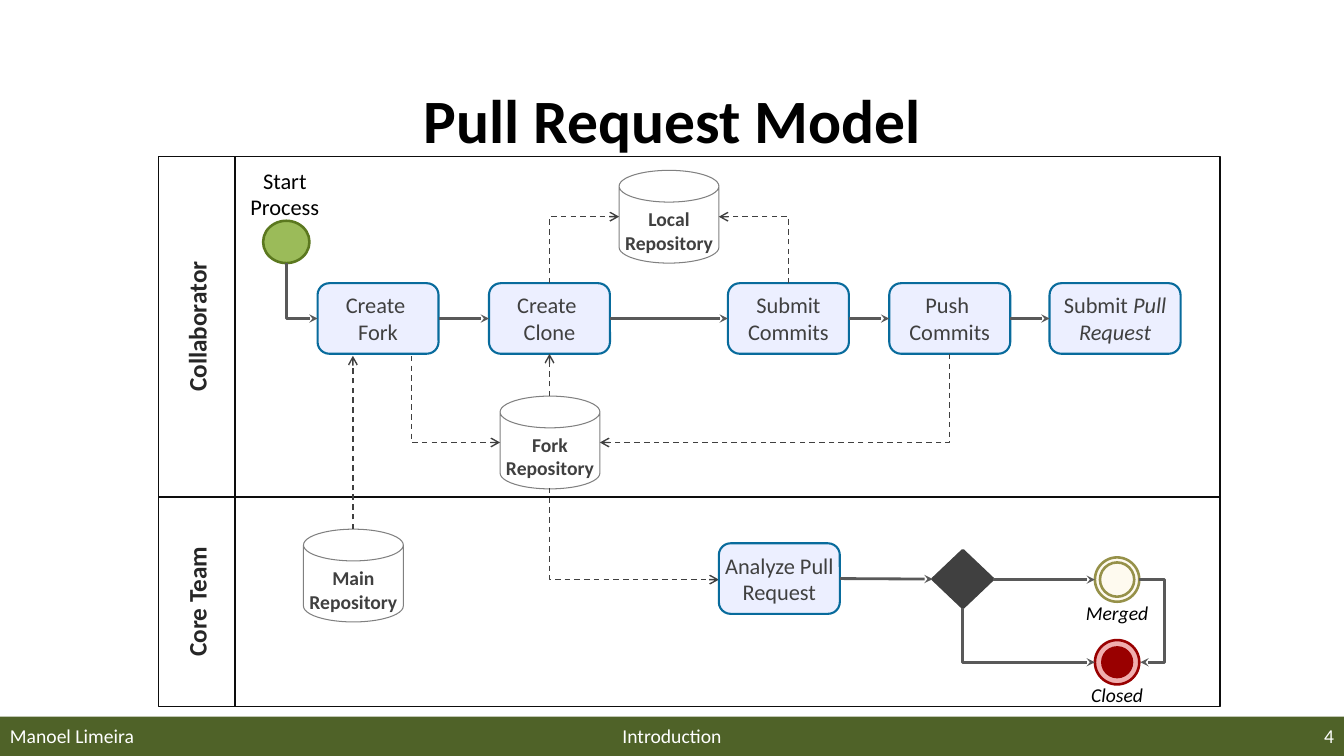
from itertools import pairwise

from lxml.etree import SubElement
from pptx import Presentation
from pptx.dml.color import RGBColor
from pptx.enum.dml import MSO_LINE
from pptx.enum.shapes import MSO_CONNECTOR as Link, MSO_SHAPE as Preset
from pptx.enum.text import MSO_ANCHOR as Anchor, PP_ALIGN as Align
from pptx.oxml.ns import qn
from pptx.util import Inches, Pt

FONT = "Calibri"
BLACK = RGBColor(0x00, 0x00, 0x00)
WHITE = RGBColor(0xFF, 0xFF, 0xFF)
FRAME = RGBColor(0x0D, 0x0D, 0x0D)
LANE_TEXT = RGBColor(0x26, 0x26, 0x26)
DARK = RGBColor(0x40, 0x40, 0x40)
FLOW = RGBColor(0x59, 0x59, 0x59)
GRAY = RGBColor(0x80, 0x80, 0x80)
FOOTER = RGBColor(0x4F, 0x62, 0x28)
STEP_FILL = RGBColor(0xEC, 0xEF, 0xFF)
STEP_LINE = RGBColor(0x08, 0x6B, 0x9C)
START_FILL = RGBColor(0x9B, 0xBB, 0x59)
START_LINE = RGBColor(0x5B, 0x78, 0x1F)
MERGED_FILL = RGBColor(0xFE, 0xFA, 0xEF)
MERGED_LINE = RGBColor(0x96, 0x91, 0x49)
CLOSED_FILL = RGBColor(0xF0, 0xAE, 0xAE)
CLOSED_LINE = RGBColor(0x99, 0x00, 0x00)

LANE_LEFT, LANE_WIDTH, NAME_WIDTH = 1.57, 10.53, 0.76
STEP_WIDTH, STEP_HEIGHT = 1.2, 0.7


def write(shape, text, size, color, bold=False, italic=False, align=Align.CENTER,
          anchor=Anchor.MIDDLE, inset=0.1, wrap=True):
    """Fill a shape with uniformly formatted text."""
    frame = shape.text_frame
    frame.text = text
    frame.word_wrap = wrap
    frame.vertical_anchor = anchor
    frame.margin_left = frame.margin_right = Inches(inset)
    frame.margin_top = frame.margin_bottom = Inches(0.05)
    for paragraph in frame.paragraphs:
        paragraph.alignment = align
        for run in paragraph.runs:
            style_run(run, size, color, bold, italic)


def style_run(run, size, color, bold=False, italic=False):
    """Set the font of one run."""
    run.font.name, run.font.size = FONT, Pt(size)
    run.font.bold, run.font.italic = bold, italic
    run.font.color.rgb = color


class Region:
    """Draws parts in inches relative to its own left top corner."""

    def __init__(self, slide, left, top):
        self.shapes, self.left, self.top = slide.shapes, left, top

    def place(self, left, top):
        """Turn a relative point into slide lengths."""
        return Inches(self.left + left), Inches(self.top + top)

    def shape(self, preset, left, top, width, height, fill=None, line=None, weight=1):
        """Add a preset shape."""
        shape = self.shapes.add_shape(preset, *self.place(left, top), Inches(width), Inches(height))
        shape.shadow.inherit = False
        if fill is None:
            shape.fill.background()
        else:
            shape.fill.solid()
            shape.fill.fore_color.rgb = fill
        if line is None:
            shape.line.fill.background()
        else:
            shape.line.color.rgb = line
            shape.line.width = Pt(weight)
        return shape

    def label(self, text, left, top, width, height, size, color, **style):
        """Add a text box."""
        box = self.shapes.add_textbox(*self.place(left, top), Inches(width), Inches(height))
        write(box, text, size, color, **style)

    def step(self, text, left, top, width=STEP_WIDTH):
        """Add a process step."""
        shape = self.shape(Preset.ROUNDED_RECTANGLE, left, top, width, STEP_HEIGHT,
                           STEP_FILL, STEP_LINE, 1.5)
        write(shape, text, 16, DARK, inset=0)
        return shape

    def repository(self, text, left, top):
        """Add a repository cylinder."""
        shape = self.shape(Preset.CAN, left, top, 0.99, 0.92, WHITE, GRAY, 0.75)
        shape.adjustments[0] = 0.342
        write(shape, text, 14, DARK, bold=True, anchor=Anchor.TOP, inset=0)

    def outcome(self, text, top, fill, line, gap, core_fill, core_line):
        """Add a double circle with its caption."""
        left, size = 9.29, 0.44
        self.shape(Preset.FLOWCHART_CONNECTOR, left, top, size, size, fill, line, 1.85)
        self.shape(Preset.FLOWCHART_CONNECTOR, left + gap, top + gap, size - 2 * gap,
                   size - 2 * gap, core_fill, core_line, 1.85)
        self.label(text, left - 0.2, top + 0.375, 0.84, 0.34, 14, BLACK, italic=True, wrap=False)

    def arrow(self, start, end, kind=Link.STRAIGHT, dashed=False):
        """Add a solid flow arrow or a dashed data arrow."""
        arrow = self.shapes.add_connector(kind, *self.place(*start), *self.place(*end))
        arrow.line.color.rgb = DARK if dashed else FLOW
        arrow.line.width = Pt(1 if dashed else 2)
        if dashed:
            arrow.line.dash_style = MSO_LINE.DASH
        SubElement(arrow.line._get_or_add_ln(), qn("a:tailEnd"), type="arrow" if dashed else "stealth")
        SubElement(arrow._element.spPr, qn("a:effectLst"))
        return arrow

    def corner(self, start, end, dashed=False):
        """Add an arrow that runs vertically, then turns once to the side."""
        (x1, y1), (x2, y2) = start, end
        x, y, dx, dy = (x1 + x2) / 2, (y1 + y2) / 2, (x2 - x1) / 2, (y2 - y1) / 2
        arrow = self.arrow((x - dy, y + dx), (x + dy, y - dx), Link.ELBOW, dashed)
        properties = arrow._element.spPr
        properties.find(qn("a:xfrm")).set("rot", "5400000")
        properties.find(qn("a:prstGeom")).set("prst", "bentConnector2")

    def join(self, source, target):
        """Glue a flow arrow from the right of one shape to the left of another."""
        arrow = self.arrow((0, 0), (1, 1))
        arrow.begin_connect(source, 3)
        arrow.end_connect(target, 1)


def add_lane(slide, name, top, height):
    """Draw a swimlane with its upright name and return its region."""
    lane = Region(slide, LANE_LEFT, top)
    header = lane.shape(Preset.RECTANGLE, 0, 0, NAME_WIDTH, height, line=FRAME)
    write(header, name, 18, LANE_TEXT, bold=True)
    header.text_frame._txBody.bodyPr.set("vert", "vert270")
    lane.shape(Preset.RECTANGLE, NAME_WIDTH, 0, LANE_WIDTH - NAME_WIDTH, height, line=FRAME)
    return lane


def add_collaborator(slide, top, height):
    """Draw the collaborator lane."""
    lane = add_lane(slide, "Collaborator", top, height)
    lane.label("Start\vProcess", 0.87, 0.05, 0.77, 0.64, 16, BLACK, inset=0.04, wrap=False)
    lane.shape(Preset.FLOWCHART_CONNECTOR, 1.04, 0.64, 0.46, 0.42, START_FILL, START_LINE, 1.85)
    names = ["Create \vFork", "Create \vClone", "Submit Commits", "Push \nCommits"]
    steps = [lane.step(name, left, 1.26) for name, left in zip(names, (1.58, 3.28, 5.65, 7.25))]
    request = lane.step("Submit ", 8.84, 1.26, 1.3)
    run = request.text_frame.paragraphs[0].add_run()
    run.text = "Pull Request"
    style_run(run, 16, DARK, italic=True)
    for source, target in pairwise([*steps, request]):
        lane.join(source, target)
    lane.corner((1.27, 1.06), (1.58, 1.61))
    lane.repository("Local Repository", 4.57, 0.14)
    lane.repository("Fork Repository", 3.39, 2.38)
    lane.arrow((3.88, 2.38), (3.88, 1.96), dashed=True)
    for start, end in [((3.88, 1.26), (4.57, 0.6)), ((6.25, 1.26), (5.56, 0.6)),
                       ((7.85, 1.96), (4.38, 2.84)), ((2.51, 1.98), (3.39, 2.84))]:
        lane.corner(start, end, dashed=True)


def add_core_team(slide, top, height):
    """Draw the core team lane and its links to the lane above."""
    lane = add_lane(slide, "Core Team", top, height)
    lane.repository("Main Repository", 1.44, 0.32)
    lane.arrow((1.93, 0.32), (1.93, -1.4), dashed=True)
    lane.corner((3.88, -0.09), (5.56, 0.82), dashed=True)
    analyze = lane.step("Analyze Pull Request", 5.56, 0.46)
    decision = lane.shape(Preset.FLOWCHART_DECISION, 7.68, 0.53, 0.6, 0.57, DARK, DARK, 2)
    lane.join(analyze, decision)
    lane.outcome("Merged", 0.6, MERGED_FILL, MERGED_LINE, 0.05, MERGED_FILL, MERGED_LINE)
    lane.outcome("Closed", 1.42, CLOSED_FILL, CLOSED_LINE, 0.06, CLOSED_LINE, None)
    lane.arrow((8.28, 0.82), (9.29, 0.82))
    lane.corner((7.98, 1.1), (9.29, 1.64))
    bypass = lane.arrow((9.73, 0.82), (9.74, 1.64), Link.ELBOW)
    guides = bypass._element.spPr.find(qn("a:prstGeom")).get_or_add_avLst()
    SubElement(guides, qn("a:gd"), name="adj1", fmla="val 2500000")


def add_footer(slide, top):
    """Draw the footer band with author, section and page number."""
    footer = Region(slide, 0, top)
    footer.shape(Preset.RECTANGLE, 0, 0.01, 13.33, 0.39, FOOTER)
    for text, left, width, align in [("Manoel Limeira", 0, 3.11, Align.LEFT),
                                     ("Introduction", 3.11, 7.11, Align.CENTER),
                                     ("4", 10.22, 3.11, Align.RIGHT)]:
        footer.label(text, left, 0, width, 0.4, 14, WHITE, align=align)


def add_title(slide, text):
    """Place and format the title placeholder."""
    title = slide.shapes.title
    title.left, title.top, title.width, title.height = map(Inches, (0.67, 0.55, 12, 1.25))
    write(title, text, 44, BLACK, bold=True)


presentation = Presentation()
presentation.slide_width, presentation.slide_height = Inches(13.33), Inches(7.5)
slide = presentation.slides.add_slide(presentation.slide_layouts[5])
add_footer(slide, 7.1)
add_title(slide, "Pull Request Model")
add_collaborator(slide, 1.55, 3.38)
add_core_team(slide, 4.93, 2.08)
presentation.save("out.pptx")
